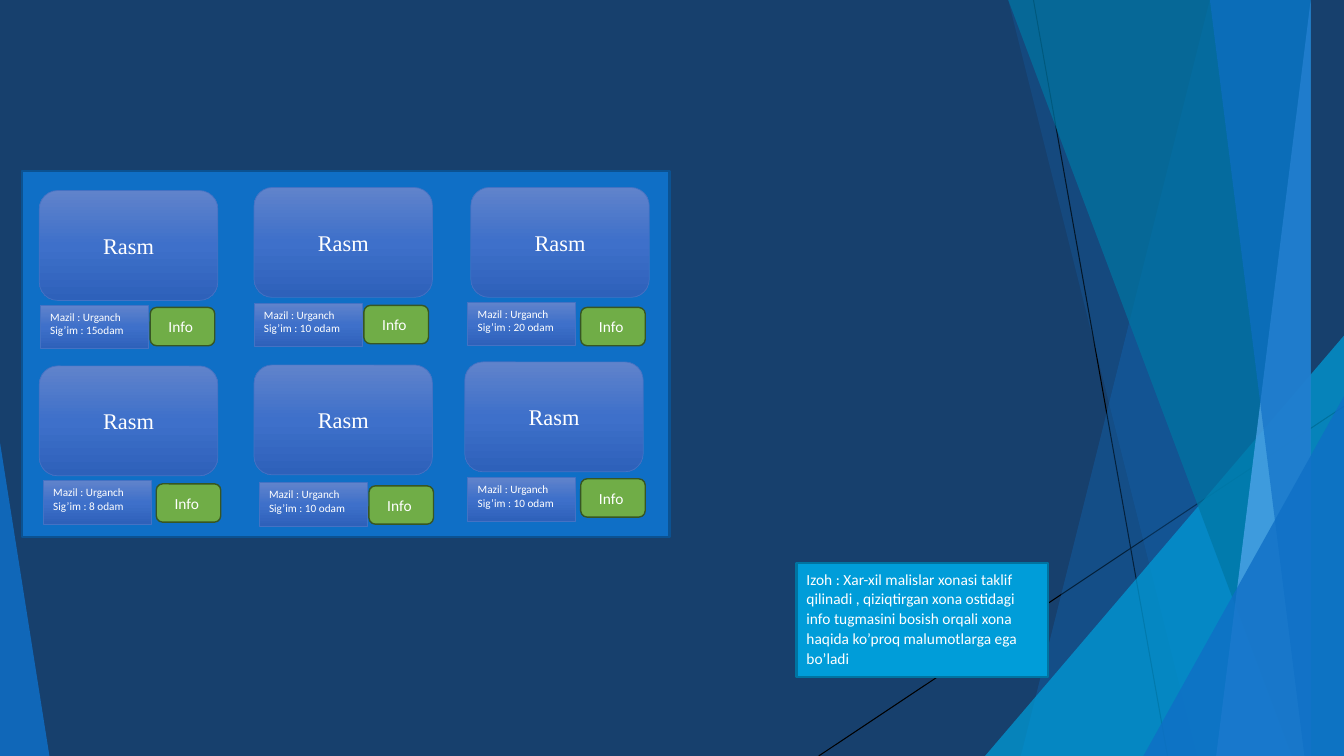
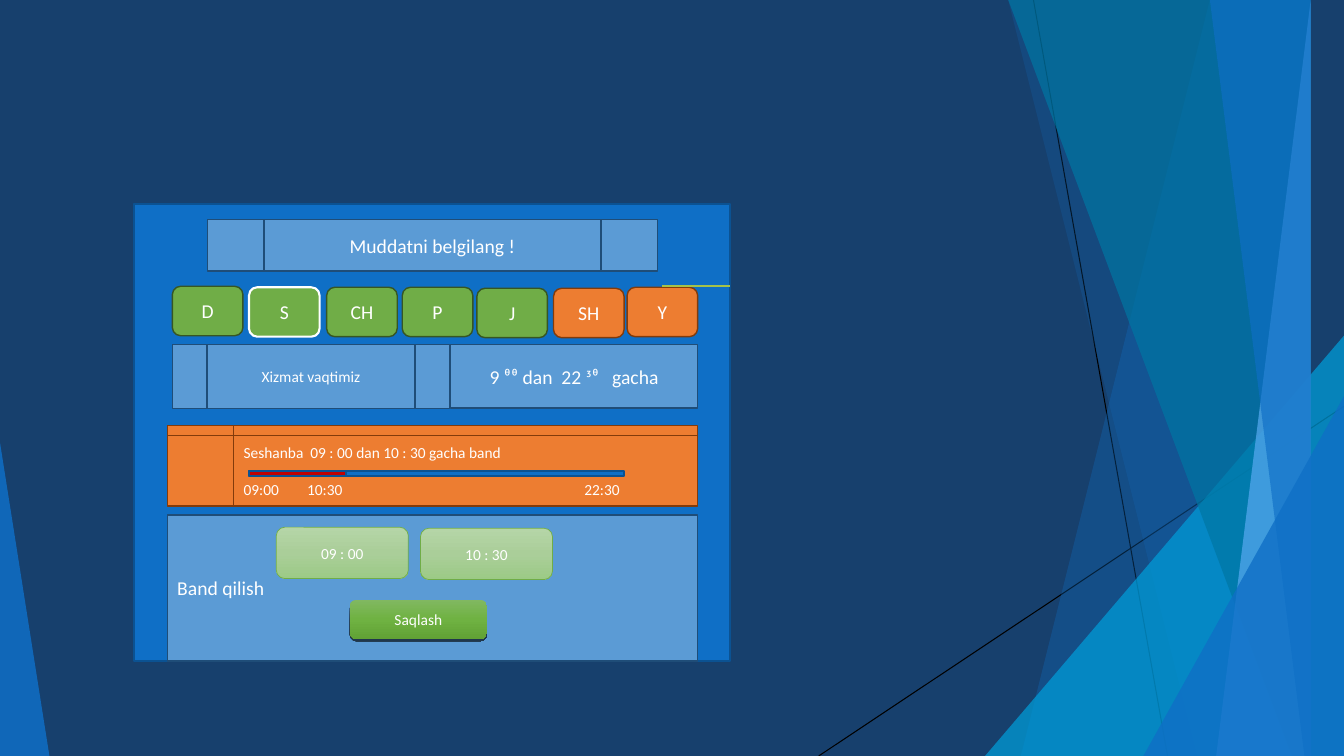
from copy import deepcopy

from lxml.etree import SubElement
from pptx import Presentation
from pptx.dml.color import RGBColor
from pptx.enum.shapes import MSO_CONNECTOR, MSO_SHAPE as SHAPE
from pptx.enum.text import MSO_ANCHOR as ANCHOR, PP_ALIGN as ALIGN
from pptx.oxml.ns import qn
from pptx.util import Inches, Pt

COLORS = {
    "background": "17406D", "blue": "0F6FC6", "blue_edge": "0B5292",
    "cyan": "009DD9", "cyan_edge": "0074A1", "teal": "0076A3",
    "pale_blue": "59AAF2", "sky": "5B9BD5", "sky_edge": "1F4D78",
    "green": "70AD47", "green_edge": "375623", "lime": "A5C249",
    "orange": "ED7D31", "orange_edge": "823B0B", "red": "C00000",
    "photo_edge": "4472C4", "white": "FFFFFF", "black": "000000",
}
GRADIENTS = {
    "photo": ("6083CB", "3E70CA", "2E61BA"),
    "time": ("B5D5A7", "AACE99", "9CCA86"),
    "save": ("81B861", "6FB242", "61A235"),
}
RGB = {name: RGBColor.from_string(value) for name, value in COLORS.items()}


def add_box(slide, kind, box, fill, edge=None, width=1, text="", size=11,
            align=ALIGN.CENTER, anchor=ANCHOR.MIDDLE, font="Calibri"):
    shape = slide.shapes.add_shape(kind, *[Inches(value) for value in box])
    shape.shadow.inherit = False
    if fill in GRADIENTS:
        shape.fill.gradient()
        shape.fill.gradient_angle = 270
        stop_list = shape._element.spPr.find(".//" + qn("a:gsLst"))
        stop_list.append(deepcopy(stop_list[0]))
        for index, stop in enumerate(shape.fill.gradient_stops):
            stop.position = index / 2
            stop.color.rgb = RGBColor.from_string(GRADIENTS[fill][index])
    else:
        shape.fill.solid()
        shape.fill.fore_color.rgb = RGB[fill]
    if edge:
        shape.line.color.rgb = RGB[edge]
        shape.line.width = Pt(width)
    else:
        shape.line.fill.background()
    if text:
        shape.text_frame.text = text
        shape.text_frame.vertical_anchor = anchor
        for paragraph in shape.text_frame.paragraphs:
            paragraph.alignment = align
            paragraph.font.name = font
            paragraph.font.size = Pt(size)
            paragraph.font.color.rgb = RGB["white"]
    return shape


def add_line(slide, start, end, color, width):
    line = slide.shapes.add_connector(
        MSO_CONNECTOR.STRAIGHT, *[Inches(value) for value in start + end])
    line.line.color.rgb = RGB[color]
    line.line.width = Pt(width)
    SubElement(line._element.spPr, qn("a:effectLst"))
    return line


presentation = Presentation()
presentation.slide_width = Inches(13.33)
presentation.slide_height = Inches(7.5)
blank_layout = presentation.slide_layouts[6]
rooms = presentation.slides.add_slide(blank_layout)
booking = presentation.slides.add_slide(blank_layout)

# Shared backdrop: facets are drawn once, then moved to the slide master
master = presentation.slide_master
master.background.fill.solid()
master.background.fill.fore_color.rgb = RGB["background"]

backdrop = [
    add_line(rooms, (10.25, 0), (11.58, 7.5), "black", 0.75),
    add_line(rooms, (13.33, 4.03), (8.12, 7.5), "black", 0.75),
]
# Bands reach the right edge: top-left x, bottom-left x, colour, opacity.
# Triangles: box, apex position, colour, opacity.
facets = [
    (12.28, 10.04, "blue", 30),
    (10.5, 11.83, "blue", 20),
    ((9.77, 3.33, 3.56, 4.17), 1, "cyan", 72),
    (10.21, 12.91, "teal", 70),
    (13.03, 11.92, "pale_blue", 70),
    (11.96, 13.18, "blue", 65),
    ((11.34, 3.93, 1.99, 3.57), 1, "blue", 80),
    ((0, 4.39, 0.49, 3.11), 0, "blue", 85),
]
for outline, second, color, opacity in facets:
    if isinstance(outline, tuple):
        facet = add_box(rooms, SHAPE.ISOSCELES_TRIANGLE, outline, color)
        facet.adjustments[0] = second
    else:
        builder = rooms.shapes.build_freeform(outline, -0.01, scale=Inches(1))
        builder.add_line_segments([(13.33, -0.01), (13.33, 7.5), (second, 7.5)])
        facet = builder.convert_to_shape()
        facet.shadow.inherit = False
        facet.fill.solid()
        facet.fill.fore_color.rgb = RGB[color]
        facet.line.fill.background()
    color_element = facet._element.spPr.find(".//" + qn("a:srgbClr"))
    SubElement(color_element, qn("a:alpha")).set("val", str(opacity * 1000))
    backdrop.append(facet)
for number, shape in enumerate(backdrop, start=100):
    shape._element.find(".//" + qn("p:cNvPr")).set("id", str(number))
    master.shapes._spTree.append(shape._element)

# Slide 1: room cards, each with picture, details and button positions
add_box(rooms, SHAPE.RECTANGLE, (0.22, 1.7, 6.42, 3.63), "blue", "blue_edge", 1.5)
cards = [
    ((0.39, 1.89), (0.4, 3.03), (1.49, 3.05), "15odam"),
    ((2.52, 1.86), (2.52, 3.01), (3.61, 3.03), "10 odam"),
    ((4.67, 1.86), (4.64, 3), (5.76, 3.05), "20 odam"),
    ((0.39, 3.63), (0.43, 4.77), (1.55, 4.8), "8 odam"),
    ((2.52, 3.62), (2.57, 4.79), (3.66, 4.82), "10 odam"),
    ((4.61, 3.59), (4.64, 4.74), (5.76, 4.75), "10 odam"),
]
for picture, details, button, capacity in cards:
    add_box(rooms, SHAPE.ROUNDED_RECTANGLE, picture + (1.77, 1.09), "photo",
            "photo_edge", 0.5, "Rasm", 16, font="Times New Roman")
    add_box(rooms, SHAPE.RECTANGLE, details + (1.07, 0.43), "photo",
            "photo_edge", 0.5, f"Mazil : Urganch\nSig’im : {capacity}", 8,
            ALIGN.LEFT, ANCHOR.TOP)
    add_box(rooms, SHAPE.ROUNDED_RECTANGLE, button + (0.64, 0.38), "green",
            "green_edge", text="Info ")

# Slide 1: note
note = add_box(
    rooms, SHAPE.RECTANGLE, (7.9, 5.59, 2.49, 1.13), "cyan", "cyan_edge", 1.5,
    "Izoh : Xar-xil malislar xonasi taklif qilinadi , qiziqtirgan xona ostidagi "
    "info tugmasini bosish orqali xona haqida ko’proq malumotlarga ega bo’ladi",
    align=ALIGN.LEFT, anchor=ANCHOR.TOP)
note.text_frame.paragraphs[0].line_spacing = 1.07
note.text_frame.paragraphs[0].space_after = Pt(8)

# Slide 2: panel and weekday buttons
add_box(booking, SHAPE.RECTANGLE, (1.33, 2.02, 5.91, 4.54), "blue", "blue_edge", 1.5)
days = [
    ("D", 1.71, 2.84, "green"), ("S", 2.47, 2.85, "green"),
    ("CH", 3.24, 2.85, "green"), ("P", 3.99, 2.85, "green"),
    ("J", 4.73, 2.86, "green"), ("SH", 5.49, 2.86, "orange"),
    ("Y", 6.22, 2.85, "orange"),
]
for day, left, top, color in days:
    selected = day == "S"
    add_box(booking, SHAPE.ROUNDED_RECTANGLE, (left, top, 0.7, 0.49), color,
            "white" if selected else color + "_edge", 1.5 if selected else 1,
            day, 14)

# Slide 2: heading, opening hours and booking form
PROCESS = SHAPE.FLOWCHART_PREDEFINED_PROCESS
sky_boxes = [
    (PROCESS, (2.06, 2.18, 4.46, 0.51), "Muddatni belgilang !", 14, ALIGN.CENTER),
    (PROCESS, (1.71, 3.42, 2.75, 0.63), "Xizmat vaqtimiz", 11, ALIGN.CENTER),
    (SHAPE.RECTANGLE, (4.47, 3.42, 2.45, 0.63), "9 ᶿᶿ dan  22 ᶾᶿ   gacha", 14,
     ALIGN.CENTER),
    (SHAPE.RECTANGLE, (1.66, 5.11, 5.26, 1.45), "Band qilish", 14, ALIGN.LEFT),
]
for kind, box, text, size, align in sky_boxes:
    add_box(booking, kind, box, "sky", "sky_edge", 1, text, size, align)

for left, top, time in [(2.74, 5.23, "09 : 00"), (4.17, 5.24, "10 : 30")]:
    add_box(booking, SHAPE.ROUNDED_RECTANGLE, (left, top, 1.31, 0.51), "time",
            "green", 0.5, time)

save_button = add_box(booking, SHAPE.ROUNDED_RECTANGLE, (3.47, 5.95, 1.36, 0.39),
                      "save", text="Saqlash")
effects = save_button._element.spPr.find(qn("a:effectLst"))
shadow = SubElement(effects, qn("a:outerShdw"), blurRad="0",
                    dist=str(Pt(1.5)), dir="5400000", algn="ctr", rotWithShape="0")
shadow_color = SubElement(shadow, qn("a:srgbClr"), val=COLORS["black"])
SubElement(shadow_color, qn("a:alpha"), val="63000")

add_line(booking, (6.57, 2.84), (7.24, 2.84), "lime", 1.5)

# Slide 2: booked time with its scale
schedule = add_box(
    booking, SHAPE.FLOWCHART_INTERNAL_STORAGE, (1.66, 4.22, 5.26, 0.8),
    "orange", "orange_edge",
    text="Seshanba  09 : 00 dan 10 : 30 gacha band\n09:00\t10:30\t22:30",
    align=ALIGN.LEFT)
scale_labels = schedule.text_frame.paragraphs[1]
scale_labels.space_before = Pt(13.4)
properties = scale_labels._p.get_or_add_pPr()
tab_list = SubElement(properties, qn("a:tabLst"))
for position in (0.63, 3.38):
    SubElement(tab_list, qn("a:tab"), pos=str(Inches(position)), algn="l")
properties.find(qn("a:defRPr")).addprevious(tab_list)

for width, color in [(3.72, "blue"), (0.96, "red")]:
    add_box(booking, SHAPE.RECTANGLE, (2.47, 4.67, width, 0.05), color,
            "blue_edge", 1.5)

presentation.save("out.pptx")
